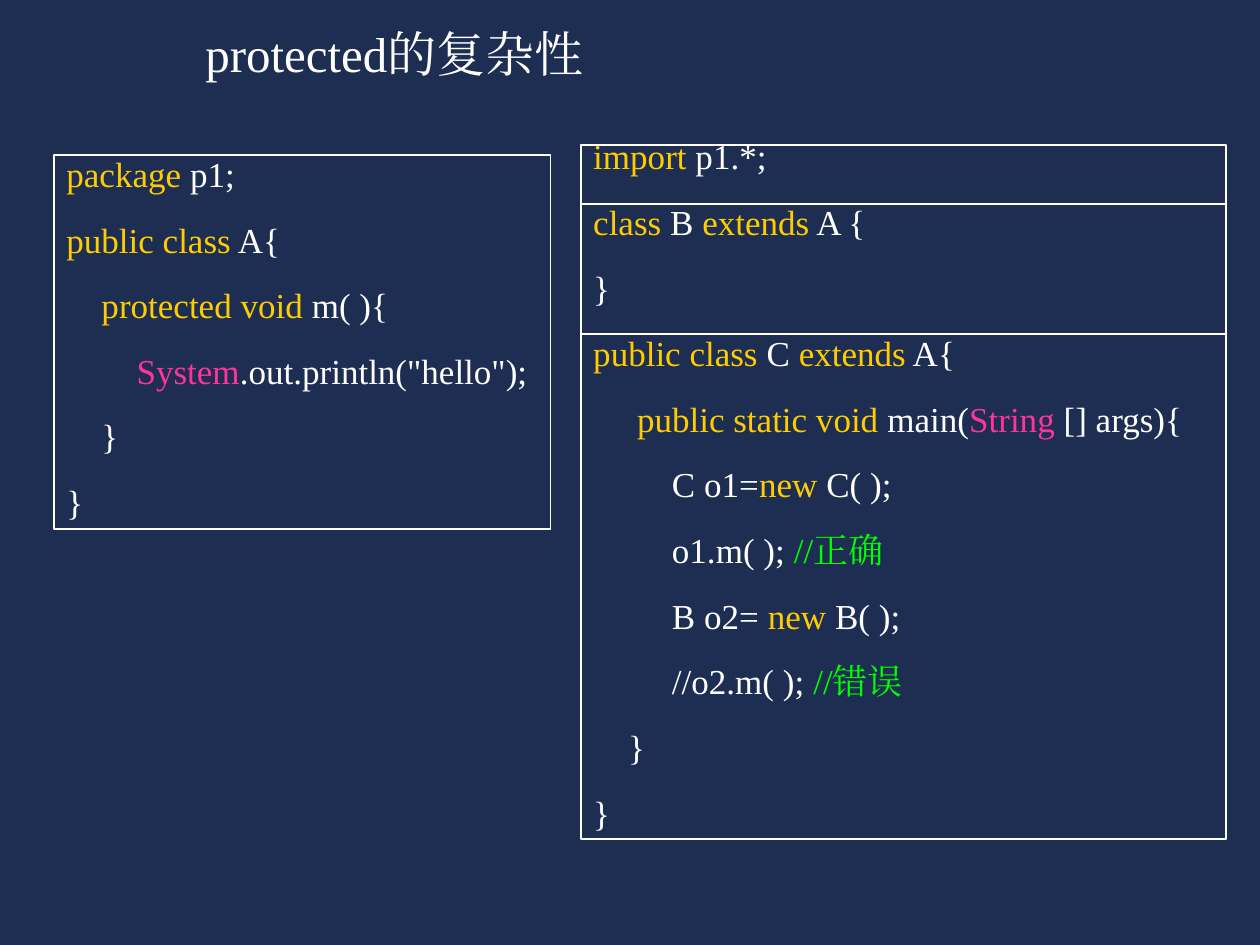
from typing import NamedTuple

from lxml import etree
from pptx import Presentation
from pptx.dml.color import RGBColor
from pptx.enum.shapes import MSO_CONNECTOR, MSO_SHAPE
from pptx.enum.text import MSO_ANCHOR, PP_ALIGN
from pptx.oxml.ns import qn
from pptx.util import Cm, Pt

RECT = MSO_SHAPE.RECTANGLE
LINE = MSO_CONNECTOR.STRAIGHT
LEFT = PP_ALIGN.LEFT
LOW = MSO_ANCHOR.BOTTOM

HUES = {"back": "1E2E53", "plain": "FFFFFF", "key": "FFCC00",
        "type": "FF3399", "note": "00FF00"}
SERIF = "Times New Roman"
SANS = "Noto Sans CJK SC"


class Run(NamedTuple):
    text: str
    hue: str = "plain"
    face: str = SERIF


class Box(NamedTuple):
    left: float
    top: float
    width: float
    height: float
    size: float
    gap: float
    lines: list[list[Run]]


def key(text: str) -> Run:
    return Run(text, "key")


def kind(text: str) -> Run:
    return Run(text, "type")


TITLE = Box(3.89, 0.33, 12.8, 1.45, 28, 0, [[Run("protected的复杂性")]])

BASE = Box(1.09, 3.12, 10.01, 7.54, 20, 13.5, [
    [key("package "), Run("p1;")],
    [key("public class"), Run(" A{")],
    [Run("    "), key("protected void"), Run(" m( ){")],
    [Run("        "), kind("System"), Run('.out.println("hello");')],
    [Run("    }")],
    [Run("}")],
])

USER = Box(11.71, 2.92, 13, 14, 20, 13.5, [
    [key("import"), Run(" p1.*;")],
    [key("class"), Run(" B "), key("extends"), Run(" A {")],
    [Run("}")],
    [key("public class"), Run(" C "), key("extends"), Run(" A{")],
    [Run("     "), key("public static void"), Run(" main("),
     kind("String"), Run(" [] args){")],
    [Run("         C o1="), key("new"), Run(" C( );")],
    [Run("         o1.m( ); "), Run("//正确", "note")],
    [Run("         B o2= "), key("new"), Run(" B( );")],
    [Run("         //o2.m( ); "), Run("//", "note"), Run("错误", "note", SANS)],
    [Run("    }")],
    [Run("}")],
])

RULES = [4.11, 6.73]


def tint(name: str) -> RGBColor:
    return RGBColor.from_string(HUES[name])


def apply(item, style: dict) -> None:
    for name, value in style.items():
        setattr(item, name, value)


def edge(line) -> None:
    line.color.rgb = tint("plain")
    line.width = Pt(1)


def write(frame, box: Box) -> None:
    apply(frame, {"word_wrap": True, "vertical_anchor": LOW})
    for i, runs in enumerate(box.lines):
        para = frame.add_paragraph() if i else frame.paragraphs[0]
        apply(para, {"alignment": LEFT, "space_before": Pt(box.gap if i else 0)})
        for part in runs:
            run = para.add_run()
            run.text = part.text
            apply(run.font, {"size": Pt(box.size), "name": part.face})
            run.font.color.rgb = tint(part.hue)
            east = etree.Element(qn("a:ea"), typeface=SERIF)
            run.font._element.find(qn("a:latin")).addnext(east)


def place(box: Box) -> list[Cm]:
    return [Cm(n) for n in box[:4]]


def panel(slide, box: Box) -> None:
    shape = slide.shapes.add_shape(RECT, *place(box))
    shape.shadow.inherit = False
    shape.fill.background()
    edge(shape.line)
    write(shape.text_frame, box)


def rule(slide, box: Box, top: float) -> None:
    line = slide.shapes.add_connector(
        LINE, Cm(box.left), Cm(top), Cm(box.left + box.width), Cm(top))
    edge(line.line)
    etree.SubElement(line._element.spPr, qn("a:effectLst"))


def main() -> None:
    deck = Presentation()
    apply(deck, {"slide_width": Cm(25.4), "slide_height": Cm(19.05)})
    slide = deck.slides.add_slide(deck.slide_layouts[6])
    fill = slide.background.fill
    fill.solid()
    fill.fore_color.rgb = tint("back")
    for box in (BASE, USER):
        panel(slide, box)
    write(slide.shapes.add_textbox(*place(TITLE)).text_frame, TITLE)
    for top in RULES:
        rule(slide, USER, top)
    deck.save("out.pptx")


if __name__ == "__main__":
    main()
